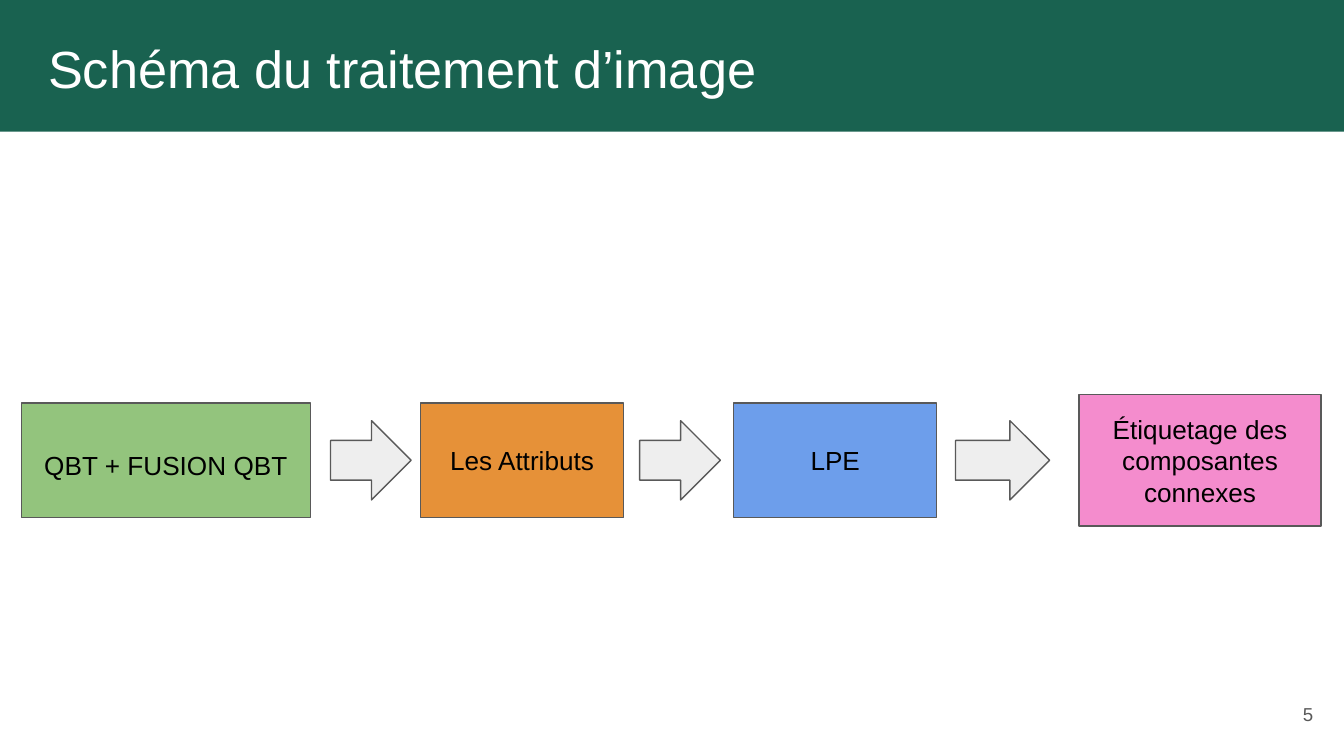
from lxml.etree import SubElement
from pptx import Presentation
from pptx.dml.color import RGBColor
from pptx.enum.shapes import MSO_SHAPE as Shape
from pptx.enum.text import MSO_ANCHOR as Anchor, PP_ALIGN as Align
from pptx.oxml.ns import qn
from pptx.util import Inches, Pt

GREEN_BANNER = RGBColor(0x19, 0x62, 0x50)
GREEN = RGBColor(0x93, 0xC4, 0x7D)
ORANGE = RGBColor(0xE6, 0x91, 0x38)
BLUE = RGBColor(0x6D, 0x9E, 0xEB)
PINK = RGBColor(0xEA, 0x16, 0x9A)
PALE_GREY = RGBColor(0xEE, 0xEE, 0xEE)
GREY = RGBColor(0x59, 0x59, 0x59)
BLACK = RGBColor(0, 0, 0)
WHITE = RGBColor(0xFF, 0xFF, 0xFF)

TITLE = "Schéma du traitement d’image"
PAGE_NUMBER = "5"
STEPS = [
    {"text": "QBT + FUSION QBT", "left": 0.16, "size": (2.15, 0.85), "fill": GREEN, "top_inset": 0.17},
    {"text": "Les Attributs", "left": 3.13, "size": (1.51, 0.85), "fill": ORANGE},
    {"text": "LPE", "left": 5.46, "size": (1.51, 0.85), "fill": BLUE},
    {"text": "Étiquetage des composantes connexes", "left": 8.03, "size": (1.8, 0.98), "fill": PINK, "opacity": 49},
]
ARROWS = [(2.46, 0.6), (4.76, 0.6), (7.11, 0.7)]

WIDTH = 10
HEIGHT = WIDTH * 9 / 16
BANNER_HEIGHT = 0.98
FLOW_MIDDLE = 3 + 0.85 / 2
ARROW_HEIGHT = 0.59
INSET = 0.1


def write(box, text, size, color, align=Align.LEFT, anchor=Anchor.MIDDLE, top_inset=INSET):
    frame = box.text_frame
    frame.word_wrap = True
    frame.vertical_anchor = anchor
    frame.margin_left = frame.margin_right = frame.margin_bottom = Inches(INSET)
    frame.margin_top = Inches(top_inset)
    frame.text = text
    para = frame.paragraphs[0]
    para.alignment = align
    font = para.runs[0].font
    font.name, font.size, font.color.rgb = "Arial", Pt(size), color


def add_block(page, kind, left, top, width, height, fill, outline=None):
    block = page.shapes.add_shape(kind, Inches(left), Inches(top), Inches(width), Inches(height))
    block.shadow.inherit = False
    block.fill.solid()
    block.fill.fore_color.rgb = fill
    if outline is None:
        block.line.fill.background()
    else:
        block.line.color.rgb = outline
        block.line.width = Pt(0.75)
    return block


def add_flow_block(page, kind, left, width, height, fill):
    return add_block(page, kind, left, FLOW_MIDDLE - height / 2, width, height, fill, GREY)


def set_opacity(block, percent):
    color = block.fill._xPr.find(qn("a:solidFill"))[0]
    SubElement(color, qn("a:alpha")).set("val", str(percent * 1000))


def main():
    deck = Presentation()
    deck.slide_width, deck.slide_height = Inches(WIDTH), Inches(HEIGHT)
    page = deck.slides.add_slide(deck.slide_layouts[6])

    add_block(page, Shape.RECTANGLE, 0, 0, WIDTH, BANNER_HEIGHT, GREEN_BANNER)
    title = page.shapes.add_textbox(Inches(0.26), Inches(0.17), Inches(9.32), Inches(0.63))
    write(title, TITLE, 28, WHITE, anchor=Anchor.TOP)
    number = page.shapes.add_textbox(Inches(9.27), Inches(5.1), Inches(0.6), Inches(0.43))
    write(number, PAGE_NUMBER, 10, GREY, Align.RIGHT)

    for step in STEPS:
        box = add_flow_block(page, Shape.RECTANGLE, step["left"], *step["size"], step["fill"])
        write(box, step["text"], 14, BLACK, Align.CENTER, top_inset=step.get("top_inset", INSET))
        if "opacity" in step:
            set_opacity(box, step["opacity"])
    for left, width in ARROWS:
        add_flow_block(page, Shape.RIGHT_ARROW, left, width, ARROW_HEIGHT, PALE_GREY)

    deck.save("out.pptx")


if __name__ == "__main__":
    main()
